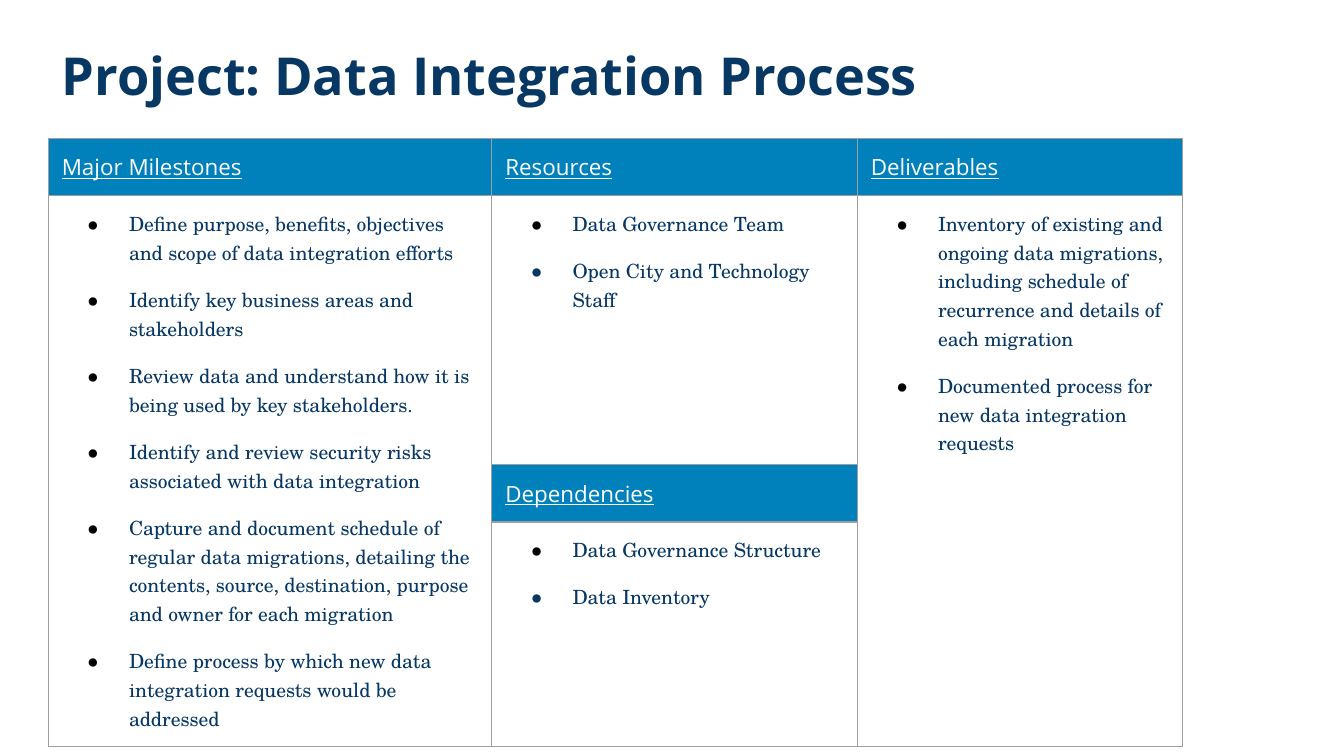
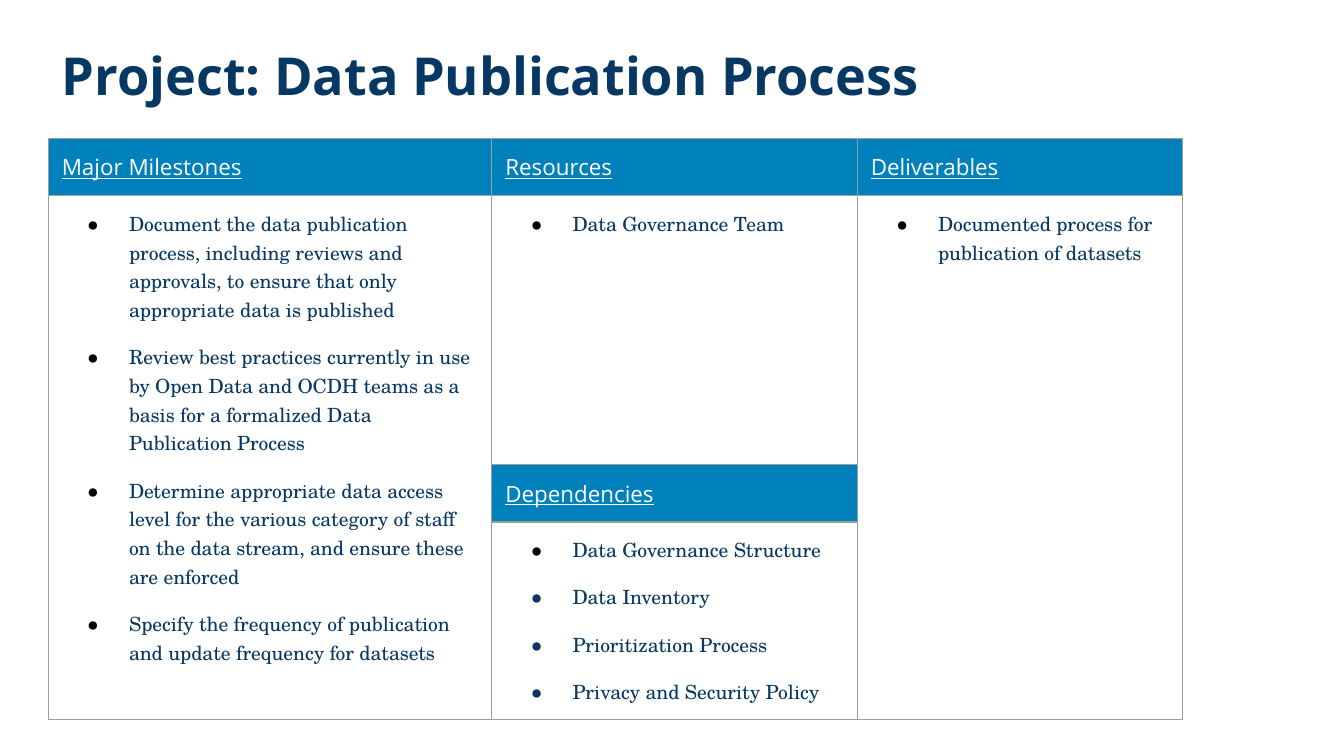
from lxml.etree import SubElement
from pptx import Presentation
from pptx.dml.color import RGBColor
from pptx.enum.text import MSO_ANCHOR as Anchor, MSO_AUTO_SIZE as AutoSize, PP_ALIGN as Align
from pptx.oxml.ns import qn
from pptx.util import Inches, Pt

NAVY, BLUE, GREY, BLACK, WHITE = "073763", "0081BC", "9E9E9E", "000000", "FFFFFF"
HEADING_FONT, BODY_FONT = "Open Sans", "TeX Gyre Schola"
BODY_SIZE = 10.5
COLUMN_WIDTHS = (3.3, 2.72, 2.42)
ROW_HEIGHTS = (0.22, 2, 0.18, 0.98)
HEADINGS = {
    (0, 0): "Major Milestones",
    (0, 1): "Resources",
    (0, 2): "Deliverables",
    (2, 1): "Dependencies",
}
LIST_CELLS = {
    "milestones": (1, 0),
    "resources": (1, 1),
    "deliverables": (1, 2),
    "dependencies": (3, 1),
}
PROJECTS = [
    {
        "title": "Project: Data Integration Process",
        "milestones": [
            "Define purpose, benefits, objectives and scope of data integration efforts",
            "Identify key business areas and stakeholders",
            "Review data and understand how it is being used by key stakeholders.",
            "Identify and review security risks associated with data integration",
            "Capture and document schedule of regular data migrations, detailing the "
            "contents, source, destination, purpose and owner for each migration",
            "Define process by which new data integration requests would be addressed",
        ],
        "resources": ["Data Governance Team", "Open City and Technology Staff"],
        "deliverables": [
            "Inventory of existing and ongoing data migrations, including schedule of "
            "recurrence and details of each migration",
            "Documented process for new data integration requests",
        ],
        "dependencies": ["Data Governance Structure", "Data Inventory"],
    },
    {
        "title": "Project: Data Publication Process",
        "milestones": [
            "Document the data publication process, including reviews and approvals, "
            "to ensure that only appropriate data is published",
            "Review best practices currently in use by Open Data and OCDH teams as a "
            "basis for a formalized Data Publication Process",
            "Determine appropriate data access level for the various category of staff "
            "on the data stream, and ensure these are enforced",
            "Specify the frequency of publication and update frequency for datasets",
        ],
        "resources": ["Data Governance Team"],
        "deliverables": ["Documented process for publication of datasets"],
        "dependencies": [
            "Data Governance Structure",
            "Data Inventory",
            "Prioritization Process",
            "Privacy and Security Policy",
        ],
    },
]


def rgb(color):
    return RGBColor.from_string(color)


def style(paragraph, name, size, color, bold=False, underline=False):
    font = paragraph.font
    font.name, font.size, font.color.rgb = name, Pt(size), rgb(color)
    font.bold, font.underline = bold, underline


def add_title(slide, text):
    title = slide.shapes.title
    title.left, title.top = Inches(0.36), Inches(0.22)
    title.width, title.height = Inches(7.61), Inches(0.63)
    frame = title.text_frame
    frame.text = text
    frame.auto_size, frame.word_wrap = AutoSize.NONE, True
    frame.vertical_anchor = Anchor.TOP
    frame.margin_left = frame.margin_right = Inches(0.1)
    frame.margin_top = frame.margin_bottom = Inches(0.1)
    heading = frame.paragraphs[0]
    heading.alignment = Align.LEFT
    style(heading, HEADING_FONT, 28, NAVY, bold=True)


def frame_cell(cell):
    cell.margin_left = cell.margin_right = Inches(0.1)
    cell.margin_top = cell.margin_bottom = Inches(0.1)
    properties = cell._tc.get_or_add_tcPr()
    for side in ("a:lnL", "a:lnR", "a:lnT", "a:lnB"):
        line = SubElement(properties, qn(side), w=str(Pt(0.75)))
        SubElement(SubElement(line, qn("a:solidFill")), qn("a:srgbClr"), val=GREY)
    cell.fill.background()


def add_bullet(paragraph, color):
    properties = paragraph._p.get_or_add_pPr()
    properties.set("marL", str(Inches(0.5)))
    properties.set("indent", str(Inches(-0.32)))
    SubElement(SubElement(properties, qn("a:buClr")), qn("a:srgbClr"), val=color)
    SubElement(properties, qn("a:buSzPts"), val=str(int(BODY_SIZE * 100)))
    SubElement(properties, qn("a:buFont"), typeface=BODY_FONT)
    SubElement(properties, qn("a:buChar"), char="●")


def fill_list(cell, items, later_bullet):
    cell.text = "\n".join(items)
    paragraphs = cell.text_frame.paragraphs
    for index, paragraph in enumerate(paragraphs):
        add_bullet(paragraph, later_bullet if index else BLACK)
        if index:
            paragraph.space_before = Pt(10)
        style(paragraph, BODY_FONT, BODY_SIZE, NAVY)
    paragraphs[-1].space_after = Pt(10)


def add_plan(slide, project):
    plan = slide.shapes.add_table(
        len(ROW_HEIGHTS), len(COLUMN_WIDTHS), Inches(0.36), Inches(1.03),
        Inches(sum(COLUMN_WIDTHS)), Inches(sum(ROW_HEIGHTS))).table
    plan.first_row = plan.horz_banding = False
    for column, width in zip(plan.columns, COLUMN_WIDTHS):
        column.width = Inches(width)
    for row, height in zip(plan.rows, ROW_HEIGHTS):
        row.height = Inches(height)
    for cell in plan.iter_cells():
        frame_cell(cell)
    for column in (0, 2):
        plan.cell(1, column).merge(plan.cell(3, column))
    for position, text in HEADINGS.items():
        cell = plan.cell(*position)
        cell.text = text
        cell.fill.solid()
        cell.fill.fore_color.rgb = rgb(BLUE)
        style(cell.text_frame.paragraphs[0], HEADING_FONT, 12, WHITE, underline=True)
    for part, (row, column) in LIST_CELLS.items():
        fill_list(plan.cell(row, column), project[part], NAVY if column == 1 else BLACK)


def main():
    """Build one planning slide for each project."""
    deck = Presentation()
    deck.slide_width = Inches(10)
    deck.slide_height = deck.slide_width * 9 // 16
    for project in PROJECTS:
        slide = deck.slides.add_slide(deck.slide_layouts[5])
        add_title(slide, project["title"])
        add_plan(slide, project)
    deck.save("out.pptx")


if __name__ == "__main__":
    main()
